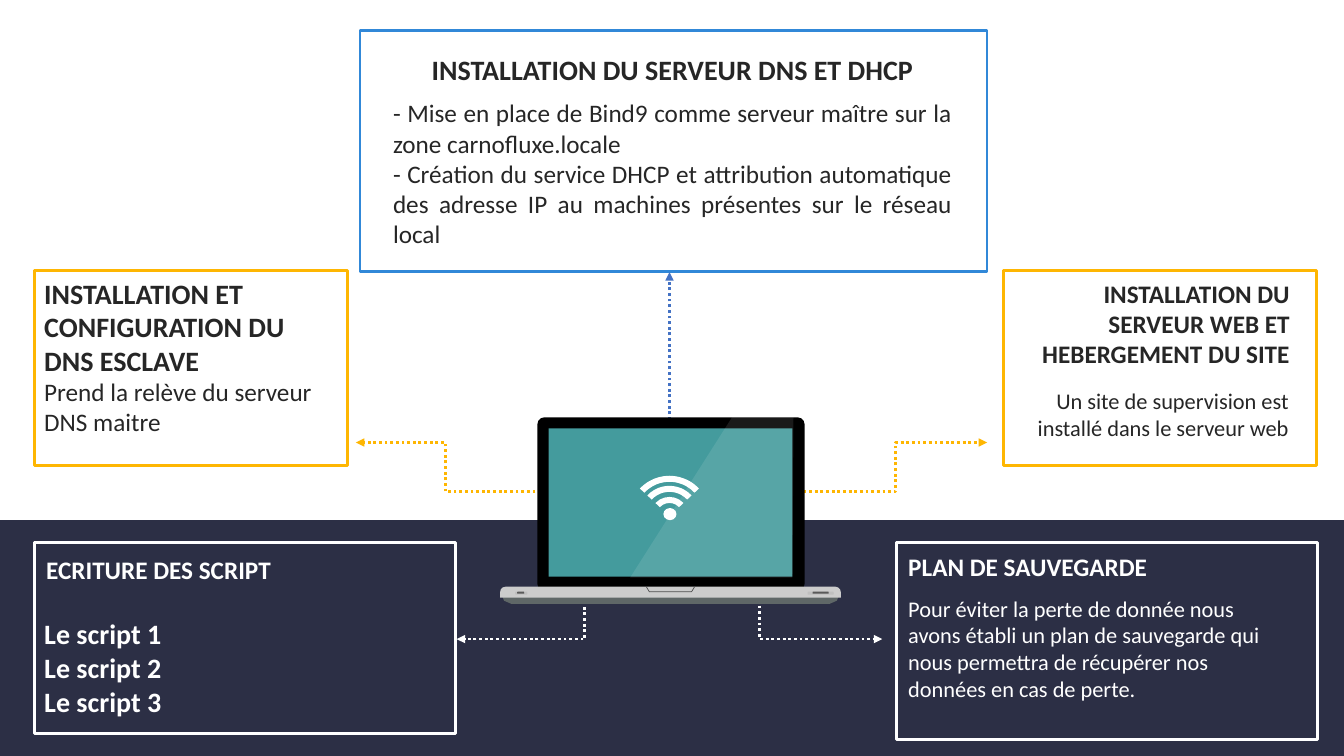
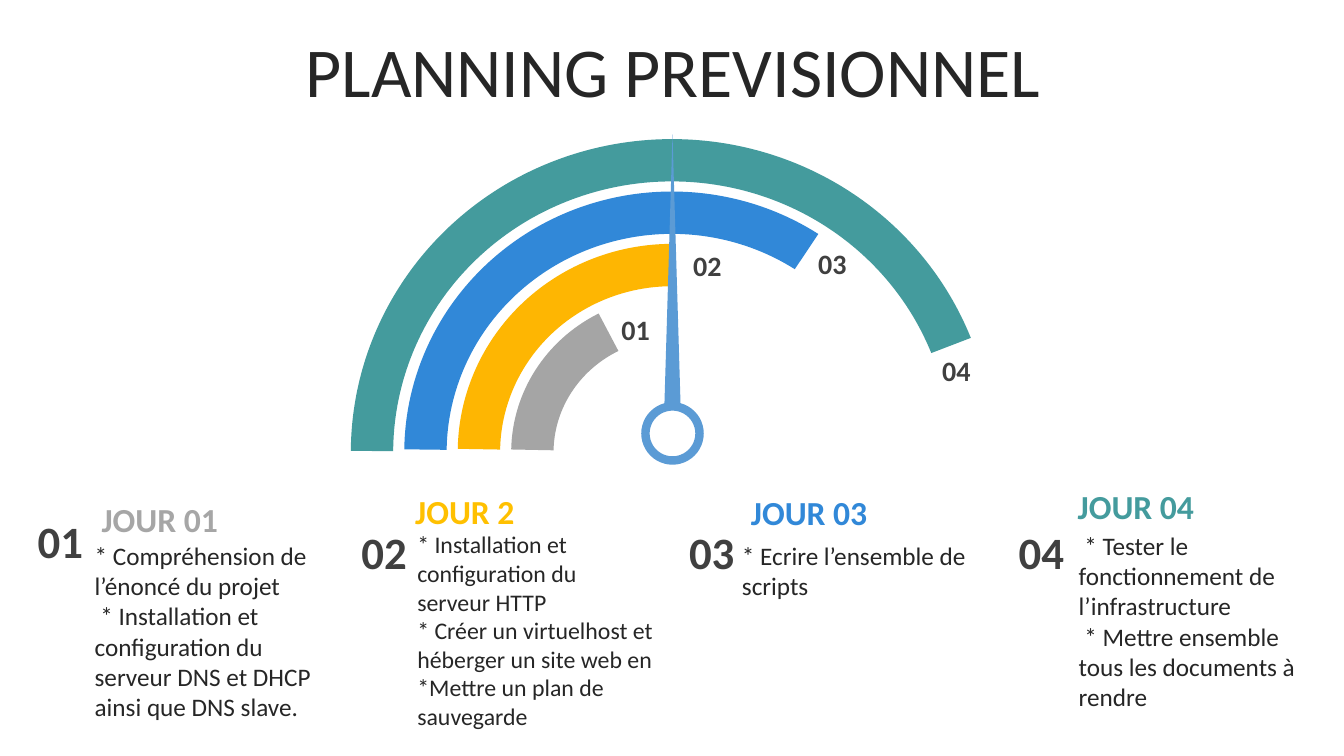
from pptx import Presentation
from pptx.dml.color import RGBColor
from pptx.enum.dml import MSO_LINE_DASH_STYLE as DASH
from pptx.enum.shapes import MSO_CONNECTOR as LINK, MSO_SHAPE as SHAPE
from pptx.enum.text import MSO_ANCHOR as ANCHOR, MSO_AUTO_SIZE, PP_ALIGN as ALIGN
from pptx.oxml.ns import qn
from pptx.util import Inches, Pt
from lxml.etree import SubElement

FONT = "Calibri"
WHITE, NAVY, INK, GREY_INK = "FFFFFF", "2C2F45", "262626", "404040"
AMBER, BLUE, TEAL, GREY = "FEB602", "3188D8", "449B9D", "A5A5A5"
NEEDLE, ARROW_BLUE = "5B9BD5", "4472C4"
color = RGBColor.from_string


def paint(shape, fill=None, line=None, width=2):
    shape.shadow.inherit = False
    if fill:
        shape.fill.solid()
        shape.fill.fore_color.rgb = color(fill)
    else:
        shape.fill.background()
    if line:
        shape.line.color.rgb = color(line)
        shape.line.width = Pt(width)
    else:
        shape.line.fill.background()
    return shape


def write(page, at, lines, size, ink, bold=False, align=ALIGN.LEFT, anchor=ANCHOR.TOP):
    """Add a wrapping text box with one paragraph for each line."""
    frame = page.shapes.add_textbox(*map(Inches, at)).text_frame
    frame.word_wrap = True
    frame.vertical_anchor = anchor
    frame.text = "\n".join(lines)
    for para in frame.paragraphs:
        para.alignment = align
        para.font.name = FONT
        para.font.size = Pt(size)
        para.font.bold = bold
        para.font.color.rgb = color(ink)


deck = Presentation()
deck.slide_width, deck.slide_height = Inches(13.33), Inches(7.5)
title_only, blank = deck.slide_layouts[5], deck.slide_layouts[6]

# Slide 1: the tasks around the laptop
page = deck.slides.add_slide(blank)
for at, fill, line in [
    ((0, 5.16, 13.33, 2.34), NAVY, None),
    ((0.34, 2.68, 3.11, 1.94), WHITE, AMBER),
    ((3.57, 0.3, 6.22, 2.39), WHITE, BLUE),
    ((9.95, 2.68, 3.11, 1.94), WHITE, AMBER),
    ((0.34, 5.38, 4.18, 1.9), None, WHITE),
    ((8.89, 5.38, 4.18, 1.96), None, WHITE),
]:
    paint(page.shapes.add_shape(SHAPE.RECTANGLE, *map(Inches, at)), fill, line)

# The bend is the share of the width at which an elbow turns
for start, end, line, bend in [
    ((6.64, 4.5), (6.64, 2.7), ARROW_BLUE, None),
    ((5.31, 4.88), (3.53, 4.39), AMBER, 0.5),
    ((7.97, 4.88), (9.79, 4.39), AMBER, 0.5),
    ((5.79, 5.92), (4.53, 6.34), WHITE, -0.01),
    ((7.56, 5.92), (8.75, 6.34), WHITE, -0.02),
]:
    kind = LINK.STRAIGHT if bend is None else LINK.ELBOW
    arrow = page.shapes.add_connector(kind, *map(Inches, start + end))
    arrow.line.color.rgb = color(line)
    arrow.line.width = Pt(2)
    arrow.line.dash_style = DASH.ROUND_DOT
    properties = arrow.element.spPr
    SubElement(properties.find(qn("a:ln")), qn("a:tailEnd"), type="triangle")
    SubElement(properties, qn("a:effectLst"))
    if bend is not None:
        guides = properties.find(qn("a:prstGeom")).get_or_add_avLst()
        SubElement(guides, qn("a:gd"), name="adj1", fmla=f"val {round(bend * 100000)}")

write(page, (3.8, 0.47, 5.74, 0.44), ["INSTALLATION DU SERVEUR DNS ET DHCP"],
      20, INK, True, ALIGN.CENTER)
write(page, (3.8, 0.92, 5.74, 1.92), [
    "- Mise en place de Bind9 comme serveur maître sur la zone carnofluxe.locale",
    "- Création du service DHCP et attribution automatique des adresse IP au machines "
    "présentes sur le réseau local",
], 18, INK, align=ALIGN.JUSTIFY)
write(page, (0.34, 2.69, 3.11, 1.11), ["INSTALLATION ET CONFIGURATION DU DNS ESCLAVE"],
      20, INK, True)
write(page, (0.34, 3.68, 3.09, 0.71), ["Prend la relève du serveur DNS maitre"], 18, INK)
write(page, (9.94, 2.71, 2.95, 1.01), ["INSTALLATION DU SERVEUR WEB ET HEBERGEMENT DU SITE"],
      18, INK, True, ALIGN.RIGHT)
write(page, (9.94, 3.79, 2.94, 0.64),
      ["Un site de supervision est installé dans le serveur web"],
      16, INK, align=ALIGN.RIGHT)
write(page, (0.36, 5.45, 3.76, 0.4), ["ECRITURE DES SCRIPT"], 18, WHITE, True)
write(page, (0.34, 6.07, 4.16, 1.11), [f"Le script {number}" for number in (1, 2, 3)],
      20, WHITE, True, ALIGN.JUSTIFY)
write(page, (8.91, 5.42, 3.8, 0.4), ["PLAN DE SAUVEGARDE"], 18, WHITE, True)
write(page, (8.91, 5.85, 3.8, 1.18), [
    "Pour éviter la perte de donnée nous avons établi un plan de sauvegarde qui nous "
    "permettra de récupérer nos données en cas de perte.",
], 16, WHITE)

# Laptop: outlines take points, preset shapes take a box and a corner radius
outlines = {}
for part, points, closed in [
    ("underside", [(4.98, 5.91), (8.32, 5.91), (8.3, 5.96), (8.23, 5.99),
                   (5.07, 5.99), (5, 5.96)], True),
    ("glare", [(7.26, 4.14), (7.87, 4.14), (7.86, 5.73), (6.25, 5.73)], True),
    ("notch", [(6.41, 5.82), (6.44, 5.87), (6.86, 5.87), (6.89, 5.82)], False),
]:
    if part == "glare":
        for kind, at, corner, fill in [
            (SHAPE.ROUNDED_RECTANGLE, (5.33, 4.14, 2.65, 1.72), 0.04, "000000"),
            (SHAPE.RECTANGLE, (5.44, 4.25, 2.42, 1.47), None, TEAL),
            (SHAPE.ROUND_2_SAME_RECTANGLE, (4.96, 5.82, 3.38, 0.11), 0.5, "CCCCCC"),
            (SHAPE.ROUNDED_RECTANGLE, (5.11, 5.87, 0.12, 0.03), 0.28, "BFBFBF"),
            (SHAPE.ROUNDED_RECTANGLE, (5.13, 5.87, 0.07, 0.02), 0.28, "595959"),
            (SHAPE.ROUNDED_RECTANGLE, (8.01, 5.87, 0.26, 0.03), 0.28, "BFBFBF"),
            (SHAPE.ROUNDED_RECTANGLE, (8.06, 5.87, 0.16, 0.02), 0.28, "595959"),
        ]:
            shape = paint(page.shapes.add_shape(kind, *map(Inches, at)), fill)
            if corner:
                shape.adjustments[0] = corner
    corners = [(Inches(x), Inches(y)) for x, y in points]
    builder = page.shapes.build_freeform(*corners[0])
    builder.add_line_segments(corners[1:], close=closed)
    outlines[part] = builder.convert_to_shape()
paint(outlines["underside"], "5F6767")
paint(outlines["notch"], line="4D4D4D", width=0.5)
paint(outlines["glare"], WHITE)
glare_fill = outlines["glare"].element.spPr.find(qn("a:solidFill"))
SubElement(glare_fill[0], qn("a:alpha"), val="10000")

# Wireless waves around one centre, above a dot
wave_x, wave_y = 6.64, 5.12
for radius in (0.4, 0.3, 0.19):
    wave = page.shapes.add_shape(SHAPE.BLOCK_ARC, Inches(wave_x - radius),
                                 Inches(wave_y - radius), Inches(2 * radius),
                                 Inches(2 * radius))
    paint(wave, WHITE)
    wave.adjustments[0], wave.adjustments[1] = 223 * 0.6, 317 * 0.6
    wave.adjustments[2] = 0.06 / (2 * radius)
paint(page.shapes.add_shape(SHAPE.OVAL, Inches(6.58), Inches(5.04), Inches(0.13),
                            Inches(0.12)), WHITE)

# Slide 2: the gauge and the four days
page = deck.slides.add_slide(title_only)
title = page.shapes.title
title.left, title.top, title.width, title.height = map(Inches, (0.35, 0.37, 12.66, 0.79))
title.text_frame.text = "PLANNING PREVISIONNEL"
title.text_frame.auto_size = MSO_AUTO_SIZE.NONE
title.text_frame.vertical_anchor = ANCHOR.MIDDLE
para = title.text_frame.paragraphs[0]
para.alignment = ALIGN.CENTER
para.line_spacing = 0.8
para.font.name = FONT
para.font.size = Pt(50)
para.font.color.rgb = color(INK)

# Arcs shrink by an equal step; an angle of one degree is 0.6 in adjustment units
for step, (start, end, fill) in enumerate([
    (180.3, 339, TEAL), (180.7, 303.8, BLUE), (181, 269.9, AMBER), (181.1, 242.2, GREY),
]):
    height = 6.22 - 1.04 * step
    arc = page.shapes.add_shape(SHAPE.BLOCK_ARC, Inches(3.48 + 0.53 * step),
                                Inches(1.38 + 0.52 * step),
                                Inches(6.37 - 1.06 * step), Inches(height))
    paint(arc, fill)
    arc.adjustments[0], arc.adjustments[1] = start * 0.6, end * 0.6
    arc.adjustments[2] = 0.42 / height

for left, top, size, ring, fill in [
    (6.17, 4.38, 1, 0.08, WHITE), (6.36, 3.99, 0.62, 0.135, NEEDLE),
]:
    hub = page.shapes.add_shape(SHAPE.DONUT, *map(Inches, (left, top, size, size)))
    paint(hub, fill).adjustments[0] = ring

for label, left, top in [
    ("01", 6.03, 3.05), ("02", 6.74, 2.42), ("03", 7.98, 2.4), ("04", 9.21, 3.46),
]:
    write(page, (left, top, 0.55, 0.44), [label], 20, GREY_INK, True, ALIGN.CENTER)
paint(page.shapes.add_shape(SHAPE.ISOSCELES_TRIANGLE, Inches(6.59), Inches(1.33),
                            Inches(0.16), Inches(2.68)), NEEDLE)

# Each day: number, heading and tasks, each with its left and top
for number, number_at, heading, heading_at, ink, tasks, tasks_at, size in [
    ("01", (0.18, 5.05), "JOUR 01", (0.91, 4.9), "A6A6A6",
     ["* Compréhension de l’énoncé du projet",
      " * Installation et configuration du serveur DNS et DHCP ainsi que DNS slave."],
     (0.84, 5.31), 18),
    ("02", (3.39, 5.16), "JOUR 2", (4.02, 4.82), "FFC000",
     ["* Installation et configuration du serveur HTTP",
      "* Créer un virtuelhost et héberger un site web en",
      "*Mettre un plan de sauvegarde"],
     (4.04, 5.21), 17),
    ("03", (6.64, 5.16), "JOUR 03", (7.35, 4.83), BLUE,
     ["* Ecrire l’ensemble de scripts"],
     (7.26, 5.31), 18),
    ("04", (9.91, 5.16), "JOUR 04", (10.59, 4.77), TEAL,
     [" * Tester le fonctionnement de l’infrastructure",
      " * Mettre ensemble tous les documents à rendre"],
     (10.6, 5.21), 18),
]:
    write(page, (*number_at, 0.84, 0.64), [number], 32, GREY_INK, True, ALIGN.CENTER)
    write(page, (*heading_at, 2.56, 0.5), [heading], 24, ink, True, anchor=ANCHOR.MIDDLE)
    write(page, (*tasks_at, 2.55, 2.15), tasks, size, INK)

deck.save("out.pptx")
